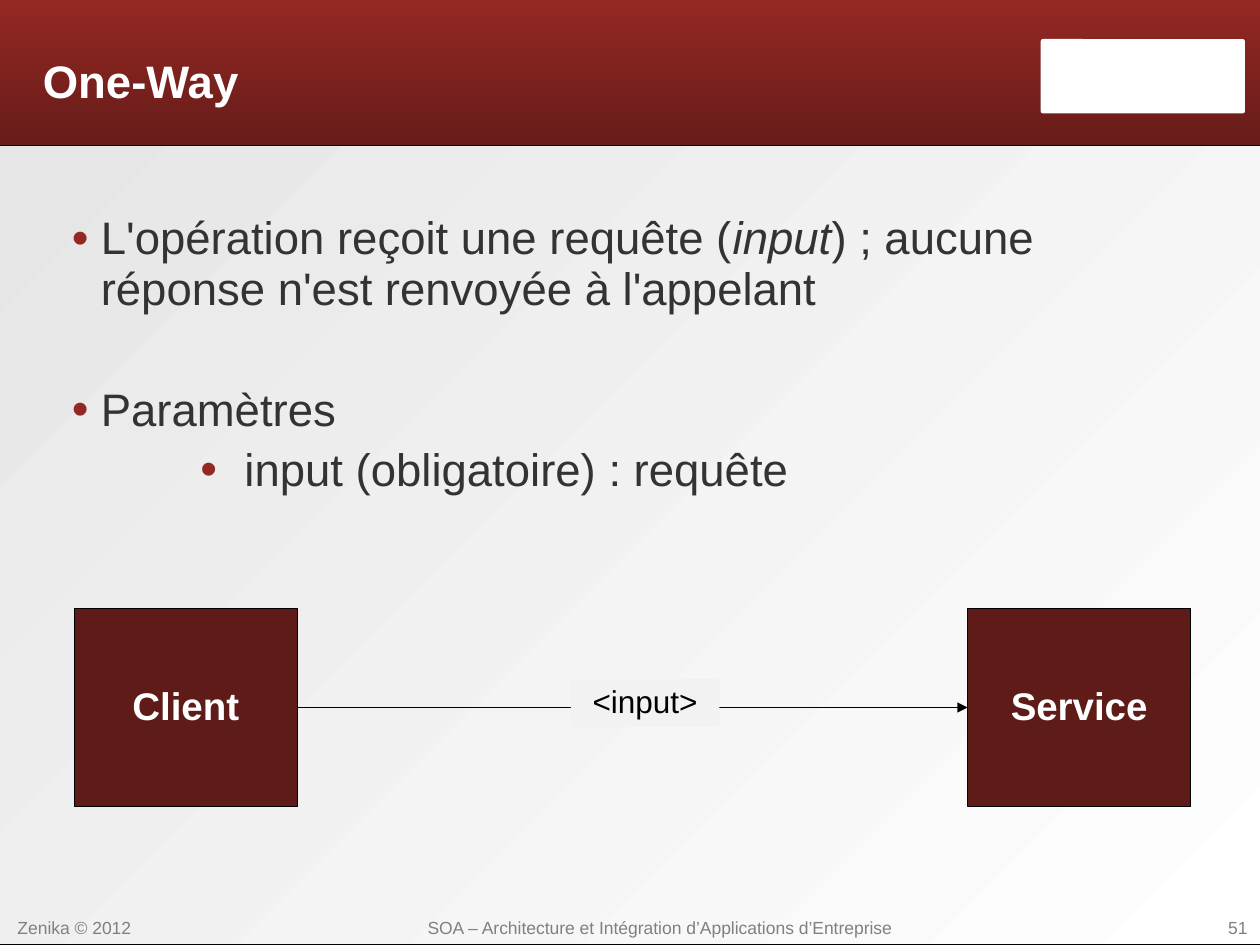
from dataclasses import dataclass

from lxml.etree import SubElement
from pptx import Presentation
from pptx.dml.color import RGBColor
from pptx.enum.shapes import MSO_CONNECTOR, MSO_SHAPE
from pptx.enum.text import MSO_ANCHOR, MSO_AUTO_SIZE, PP_ALIGN
from pptx.oxml.ns import qn
from pptx.util import Inches, Pt


@dataclass(frozen=True)
class Theme:
    font: str = "Arial"
    red: str = "942824"
    deep_red: str = "671C19"
    block: str = "5E1B17"
    white: str = "FFFFFF"
    pale: str = "E6E6E6"
    label: str = "F2F2F2"
    ink: str = "333333"
    muted: str = "808080"
    black: str = "000000"
    heading_size: int = 26
    block_size: int = 22
    label_size: int = 18
    footer_size: int = 10


class SlideBuilder:
    def __init__(self, page, theme):
        self.page = page
        self.theme = theme

    def style(self, para, size, color, bold=False, align=PP_ALIGN.LEFT, spacing=0.93):
        para.alignment = align
        para.line_spacing = spacing
        para.space_before = Pt(0)
        for span in para.runs:
            span.font.name = self.theme.font
            span.font.size = Pt(size)
            span.font.bold = bold
            span.font.color.rgb = RGBColor.from_string(color)

    def frame(self, box, insets, anchor=MSO_ANCHOR.TOP):
        frame = box.text_frame
        frame.word_wrap = True
        frame.auto_size = MSO_AUTO_SIZE.NONE
        frame.vertical_anchor = anchor
        (frame.margin_left, frame.margin_top,
         frame.margin_right, frame.margin_bottom) = map(Inches, insets)
        return frame

    def shape(self, bounds, fill, line=None, angle=None, kind=MSO_SHAPE.RECTANGLE):
        box = self.page.shapes.add_shape(kind, *map(Inches, bounds))
        box.shadow.inherit = False
        if angle is None:
            box.fill.solid()
            box.fill.fore_color.rgb = RGBColor.from_string(fill)
        else:
            box.fill.gradient()
            box.fill.gradient_angle = angle
            for stop, position, color in zip(box.fill.gradient_stops, (0, 1), fill):
                stop.position = position
                stop.color.rgb = RGBColor.from_string(color)
        if line:
            box.line.color.rgb = RGBColor.from_string(line)
            box.line.width = Pt(0.75)
        else:
            box.line.fill.background()
        return box

    def caption(self, box, text, size, color, bold=False, anchor=MSO_ANCHOR.TOP):
        frame = self.frame(box, (0.1, 0.07, 0.1, 0.05), anchor)
        frame.text = text
        self.style(frame.paragraphs[0], size, color, bold, PP_ALIGN.CENTER, 0.83)

    def block(self, bounds, text):
        box = self.shape(bounds, self.theme.block, self.theme.black)
        self.caption(box, text, self.theme.block_size, self.theme.white, True,
                     MSO_ANCHOR.MIDDLE)
        return box

    def label(self, bounds, text):
        box = self.shape(bounds, self.theme.label)
        self.caption(box, text, self.theme.label_size, self.theme.black)

    def footer(self, bounds, text, align):
        box = self.page.shapes.add_textbox(*map(Inches, bounds))
        frame = self.frame(box, (0.1, 0.06, 0.1, 0.05))
        frame.text = text
        self.style(frame.paragraphs[0], self.theme.footer_size, self.theme.muted,
                   align=align)

    def placeholder(self, index, bounds, anchor=MSO_ANCHOR.TOP):
        box = self.page.placeholders[index]
        box.left, box.top, box.width, box.height = map(Inches, bounds)
        self.page.shapes._spTree.append(box._element)
        return self.frame(box, (0, 0.03, 0, 0), anchor)

    def title(self, bounds, text):
        frame = self.placeholder(0, bounds, MSO_ANCHOR.MIDDLE)
        frame.text = text
        self.style(frame.paragraphs[0], self.theme.heading_size, self.theme.white, True)

    def bullet(self, para, margin, hanging):
        properties = para._p.get_or_add_pPr()
        properties.set("marL", str(Inches(margin)))
        properties.set("indent", str(-Inches(hanging)))
        color = SubElement(properties, qn("a:buClr"))
        SubElement(color, qn("a:srgbClr"), val=self.theme.red)
        SubElement(properties, qn("a:buSzPct"), val="105000")
        SubElement(properties, qn("a:buFont"), typeface=self.theme.font)
        SubElement(properties, qn("a:buChar"), char="•")

    def body(self, bounds, items):
        frame = self.placeholder(1, bounds)
        for number, (parts, level, margin, hanging, gap) in enumerate(items):
            para = frame.add_paragraph() if number else frame.paragraphs[0]
            para.level = level
            self.bullet(para, margin, hanging)
            for text, italic in parts:
                span = para.add_run()
                span.text = text
                span.font.italic = italic
            self.style(para, self.theme.heading_size, self.theme.ink)
            para.space_before = Pt(gap)

    def arrow(self, source, target):
        link = self.page.shapes.add_connector(MSO_CONNECTOR.STRAIGHT, 0, 0, 0, 0)
        link.begin_connect(source, 3)
        link.end_connect(target, 1)
        link.line.color.rgb = RGBColor.from_string(self.theme.black)
        link.line.width = Pt(0.75)
        SubElement(link.line._get_or_add_ln(), qn("a:tailEnd"), type="triangle")
        SubElement(link._element.spPr, qn("a:effectLst"))


def main():
    deck = Presentation()
    deck.slide_width, deck.slide_height = Inches(10), Inches(7.5)
    theme = Theme()
    slide = SlideBuilder(deck.slides.add_slide(deck.slide_layouts[1]), theme)

    slide.shape((-0.04, 1.15, 10.16, 6.35), (theme.white, theme.pale), theme.black, 135)
    slide.shape((-0.04, 0, 10.16, 1.15), (theme.red, theme.deep_red), angle=270)
    badge = slide.shape((8.26, 0.31, 1.62, 0.59), theme.white,
                        kind=MSO_SHAPE.ROUNDED_RECTANGLE)
    badge.adjustments[0] = 0.03

    slide.footer((0.04, 7.23, 1.18, 0.17), "Zenika © 2012", PP_ALIGN.LEFT)
    slide.footer((2.95, 7.23, 4.57, 0.17),
                 "SOA – Architecture et Intégration d’Applications d’Entreprise",
                 PP_ALIGN.CENTER)
    slide.footer((8.82, 7.23, 1.18, 0.17), "51", PP_ALIGN.RIGHT)

    slide.title((0.34, 0.15, 7.7, 0.99), "One-Way")
    slide.body((0.34, 1.67, 9.23, 5.43), [
        ([("L'opération reçoit une requête (", False), ("input", True),
          (") ; aucune réponse n'est renvoyée à l'appelant", False)], 0, 0.46, 0.23, 0),
        ([("Paramètres", False)], 0, 0.46, 0.23, 40),
        ([("input (obligatoire) : requête", False)], 1, 1.6, 0.35, 5.5),
    ])

    client, service = [slide.block((left, 4.83, 1.77, 1.57), name)
                       for left, name in ((0.59, "Client"), (7.68, "Service"))]
    slide.arrow(client, service)
    slide.label((4.53, 5.39, 1.18, 0.38), "<input>")
    deck.save("out.pptx")


if __name__ == "__main__":
    main()
